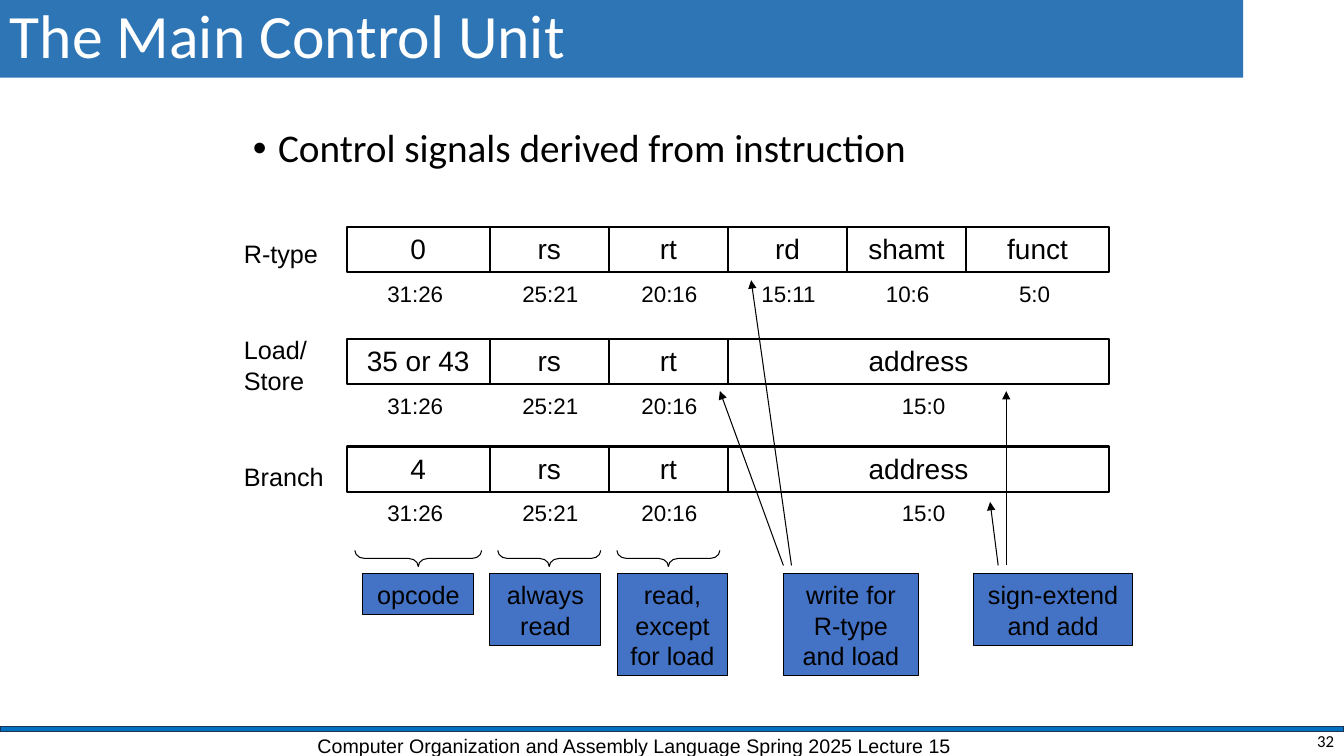
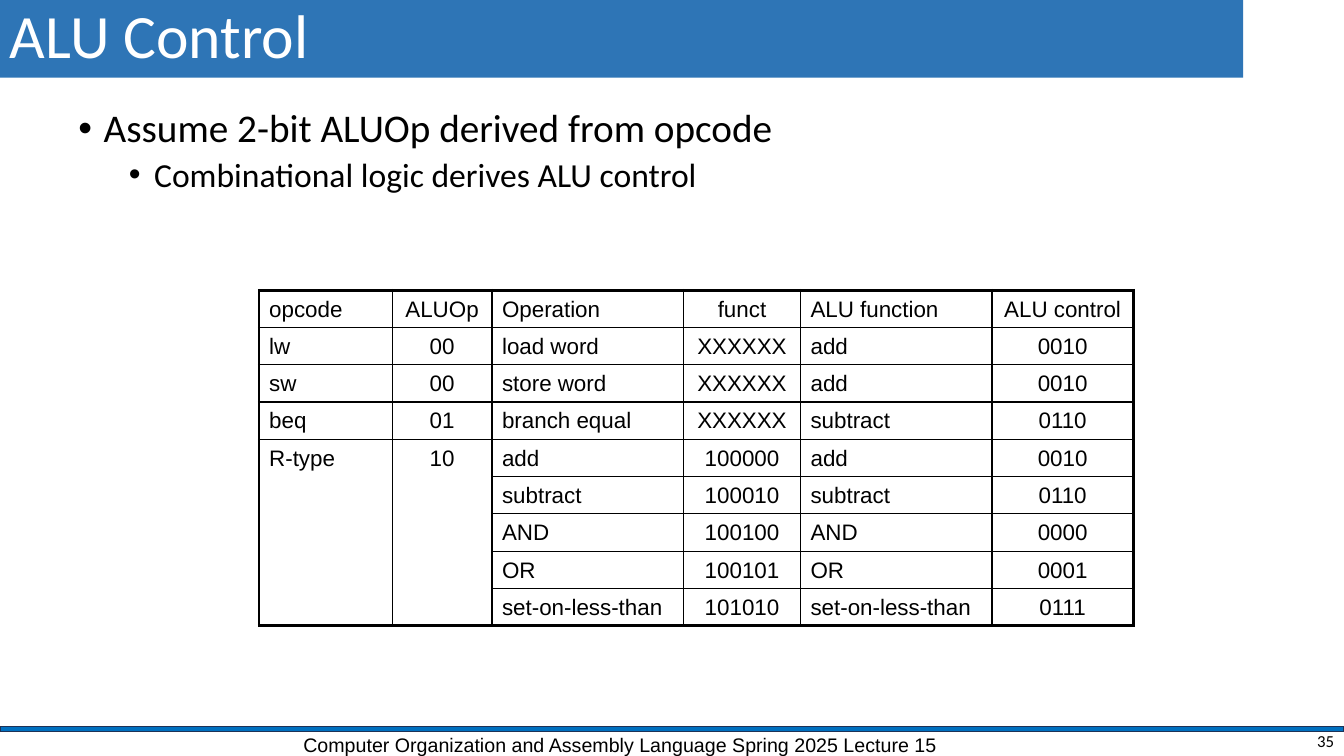
from lxml import etree
from pptx import Presentation
from pptx.dml.color import RGBColor
from pptx.enum.shapes import MSO_CONNECTOR, MSO_SHAPE
from pptx.enum.text import MSO_ANCHOR, PP_ALIGN
from pptx.oxml.ns import qn
from pptx.util import Pt

PX = 9144  # 100 px to the inch
LEFT, CENTER, RIGHT = PP_ALIGN.LEFT, PP_ALIGN.CENTER, PP_ALIGN.RIGHT
TOP, MIDDLE = MSO_ANCHOR.TOP, MSO_ANCHOR.MIDDLE
RECT, BRACE, STRAIGHT = MSO_SHAPE.RECTANGLE, MSO_SHAPE.LEFT_BRACE, MSO_CONNECTOR.STRAIGHT

COLORS = {"title": "2E75B6", "rule": "0070C0", "rule edge": "1E3256",
          "note": "4472C4", "ink": "000000", "paper": "FFFFFF"}
HEAD_FONT, TEXT_FONT = "Calibri", "Arial"
W, H = 1333, 750
FOOTER = "Computer Organization and Assembly Language Spring 2025 Lecture 15"

# Per level: size, left indent, space before
LEVELS = [(28, 25, 10), (24, 75, 5)]

# Instruction formats: name, name top, row top, fields as (text, high bit, low bit)
REGISTERS = [("rs", 25, 21), ("rt", 20, 16)]
ADDRESS = [("address", 15, 0)]
FORMATS = [
    ("R-type", 231, 225, [("0", 31, 26), *REGISTERS,
                          ("rd", 15, 11), ("shamt", 10, 6), ("funct", 5, 0)]),
    ("Load/\vStore", 326, 336, [("35 or 43", 31, 26), *REGISTERS, *ADDRESS]),
    ("Branch", 452, 443, [("4", 31, 26), *REGISTERS, *ADDRESS]),
]
WORD_LEFT, WORD_WIDTH, WORD_BITS = 344, 756, 32
FIELD_H = 45
BITS_SHIFT = {"31:26": -3, "5:0": -3, "15:0": 5}
BRACED = [(31, 26), (25, 21), (20, 16)]

# Notes: text, left, width, number of lines
NOTES_TOP = 569
NOTES = [("opcode", 360, 110, 1), ("always read", 486, 110, 2),
         ("read, except for load", 612, 110, 3),
         ("write for R-type and load", 777, 134, 3),
         ("sign-extend and add", 966, 157, 2)]
ARROWS_BOTTOM = 561
ARROWS = [(777, 714, 388), (785, 745, 278), (990, 982, 498), (998, 998, 388)]

TABLE_AT = (257, 288)
ROW_H = 37
COLUMNS = [("opcode", 132, LEFT), ("ALUOp", 99, CENTER), ("Operation", 190, LEFT),
           ("funct", 116, CENTER), ("ALU function", 190, LEFT), ("ALU control", 140, CENTER)]
OPERATIONS = [
    ("lw", "00", "load word", "XXXXXX", "add", "0010"),
    ("sw", "00", "store word", "XXXXXX", "add", "0010"),
    ("beq", "01", "branch equal", "XXXXXX", "subtract", "0110"),
    ("R-type", "10", "add", "100000", "add", "0010"),
    ("", "", "subtract", "100010", "subtract", "0110"),
    ("", "", "AND", "100100", "AND", "0000"),
    ("", "", "OR", "100101", "OR", "0001"),
    ("", "", "set-on-less-than", "101010", "set-on-less-than", "0111"),
]
MERGE_ROW, MERGED_COLS = 4, 2
THICK, MEDIUM, THIN = 2.25, 1.5, 1


def px(*lengths):
    return [round(n * PX) for n in lengths]


def rgb(name):
    return RGBColor.from_string(COLORS[name])


def style(p, size, font=TEXT_FONT, color="ink", align=LEFT):
    p.font.size, p.font.name = Pt(size), font
    p.font.color.rgb = rgb(color)
    p.alignment = align
    p.line_spacing = 0.9 if font == HEAD_FONT else Pt(round(size * 1.2))


def write(sp, text, size, anchor=TOP, wrap=True, **look):
    tf = sp.text_frame
    tf.word_wrap, tf.vertical_anchor = wrap, anchor
    tf.paragraphs[0].text = text
    style(tf.paragraphs[0], size, **look)


def add_text(s, box, text, size, **look):
    write(s.shapes.add_textbox(*px(*box)), text, size, **look)


def add_box(s, box, fill=None, line=None, width=1, kind=RECT):
    sp = s.shapes.add_shape(kind, *px(*box))
    sp.shadow.inherit = False
    if fill:
        sp.fill.solid()
        sp.fill.fore_color.rgb = rgb(fill)
    else:
        sp.fill.background()
    if line:
        sp.line.color.rgb = rgb(line)
        sp.line.width = Pt(width)
    else:
        sp.line.fill.background()
    return sp


def add_arrow(s, x1, y1, x2, y2):
    line = s.shapes.add_connector(STRAIGHT, *px(x1, y1, x2, y2))
    line.line.color.rgb = rgb("ink")
    line.line.width = Pt(0.75)
    etree.SubElement(line.line._get_or_add_ln(), qn("a:tailEnd"), type="triangle")
    etree.SubElement(line._element.spPr, qn("a:effectLst"))


def add_bullets(s, box, items):
    """Write (level, text) items as a bulleted list."""
    tf = s.shapes.add_textbox(*px(*box)).text_frame
    tf.word_wrap = True
    for i, (level, text) in enumerate(items):
        p = tf.add_paragraph() if i else tf.paragraphs[0]
        size, indent, before = LEVELS[level]
        p.text, p.level = text, level
        style(p, size, HEAD_FONT)
        p.space_before = Pt(before)
        pPr = p._p.get_or_add_pPr()
        pPr.set("marL", str(indent * PX))
        pPr.set("indent", str(-25 * PX))
        bullet_font = etree.Element(qn("a:buFont"), typeface="Arial")
        bullet = etree.Element(qn("a:buChar"), char="•")
        at = pPr.index(pPr.find(qn("a:defRPr")))
        pPr[at:at] = [bullet_font, bullet]


def add_slide(prs, title, number, footer_at):
    s = prs.slides.add_slide(prs.slide_layouts[6])
    add_box(s, (0, 721, W, 5), "rule", "rule edge")
    add_text(s, (*footer_at, 676, 27), FOOTER, 14)
    write(add_box(s, (0, 0, 1233, 77), "title"), title, 44, MIDDLE,
          font=HEAD_FONT, color="paper")
    add_text(s, (1033, 724, 300, 25), number, 12, anchor=MIDDLE,
             font=HEAD_FONT, align=RIGHT)
    return s


def field_span(high, low):
    """Return left and width of a bit range in the instruction word."""
    bit = WORD_WIDTH / WORD_BITS
    return WORD_LEFT + (WORD_BITS - 1 - high) * bit, (high - low + 1) * bit


def add_format(s, name, name_top, top, fields):
    for text, high, low in fields:
        x, w = field_span(high, low)
        write(add_box(s, (x, top, w, FIELD_H), line="ink", width=1.5), text, 20, align=CENTER)
        bits = f"{high}:{low}"
        center = x + w / 2 + BITS_SHIFT.get(bits, 1)
        add_text(s, (center - 38, top + 48, 76, 37), bits, 16, wrap=False, align=CENTER)
    add_text(s, (232, name_top, 99, 40), name, 18, wrap=False)


def add_brace(s, high, low):
    x, w = field_span(high, low)
    depth, length, middle = 16, w - 16, 554
    sp = add_box(s, (x + w / 2 - depth / 2, middle - length / 2, depth, length),
                 line="ink", width=0.75, kind=BRACE)
    sp.adjustments[0] = 0.6
    sp.rotation = 270


def set_borders(cell, widths):
    """Draw left, right, top and bottom borders; a width of 0 hides one."""
    tcPr = cell._tc.get_or_add_tcPr()
    for side, width in zip("LRTB", widths):
        ln = etree.SubElement(tcPr, qn(f"a:ln{side}"), w=str(Pt(width)))
        if width:
            fill = etree.SubElement(ln, qn("a:solidFill"))
            etree.SubElement(fill, qn("a:srgbClr"), val=COLORS["ink"])
        else:
            etree.SubElement(ln, qn("a:noFill"))


def add_operations(s):
    rows = [[name for name, _, _ in COLUMNS], *OPERATIONS]
    last_row, last_col = len(rows) - 1, len(COLUMNS) - 1
    width = sum(w for _, w, _ in COLUMNS)
    table = s.shapes.add_table(len(rows), len(COLUMNS),
                               *px(*TABLE_AT, width, ROW_H * len(rows))).table
    table.first_row = table.horz_banding = False
    for c in range(MERGED_COLS):
        table.cell(MERGE_ROW, c).merge(table.cell(last_row, c))
    edges = [THICK, MEDIUM] + [THIN] * (last_row - 1) + [THICK]
    for r, row in enumerate(rows):
        table.rows[r].height = ROW_H * PX
        for c, (text, (_, w, align)) in enumerate(zip(row, COLUMNS)):
            table.columns[c].width = w * PX
            cell = table.cell(r, c)
            top, bottom = edges[r], edges[r + 1]
            if cell.is_merge_origin:
                bottom = THICK
            elif cell.is_spanned:
                top, bottom = 0, THICK if r == last_row else 0
            set_borders(cell, (THIN if c else THICK, THICK if c == last_col else THIN,
                               top, bottom))
            cell.fill.background()
            p = cell.text_frame.paragraphs[0]
            p.text = text
            style(p, 16, align=align)


def main():
    prs = Presentation()
    prs.slide_width, prs.slide_height = px(W, H)

    s = add_slide(prs, "The Main Control Unit", "32", (305, 723))
    add_bullets(s, (241, 123, 905, 76), [(0, "Control signals derived from instruction")])
    for row in FORMATS:
        add_format(s, *row)
    for bits in BRACED:
        add_brace(s, *bits)
    for text, x, w, lines in NOTES:
        note = add_box(s, (x, NOTES_TOP, w, 11 + 30 * lines), "note", "ink", 0.75)
        write(note, text, 18, align=CENTER)
    for x1, x2, y2 in ARROWS:
        add_arrow(s, x1, ARROWS_BOTTOM, x2, y2)

    s = add_slide(prs, "ALU Control", "35", (291, 722))
    add_bullets(s, (68, 103, 1199, 572), [(0, "Assume 2-bit ALUOp derived from opcode"),
                                          (1, "Combinational logic derives ALU control")])
    add_operations(s)
    prs.save("out.pptx")


if __name__ == "__main__":
    main()
